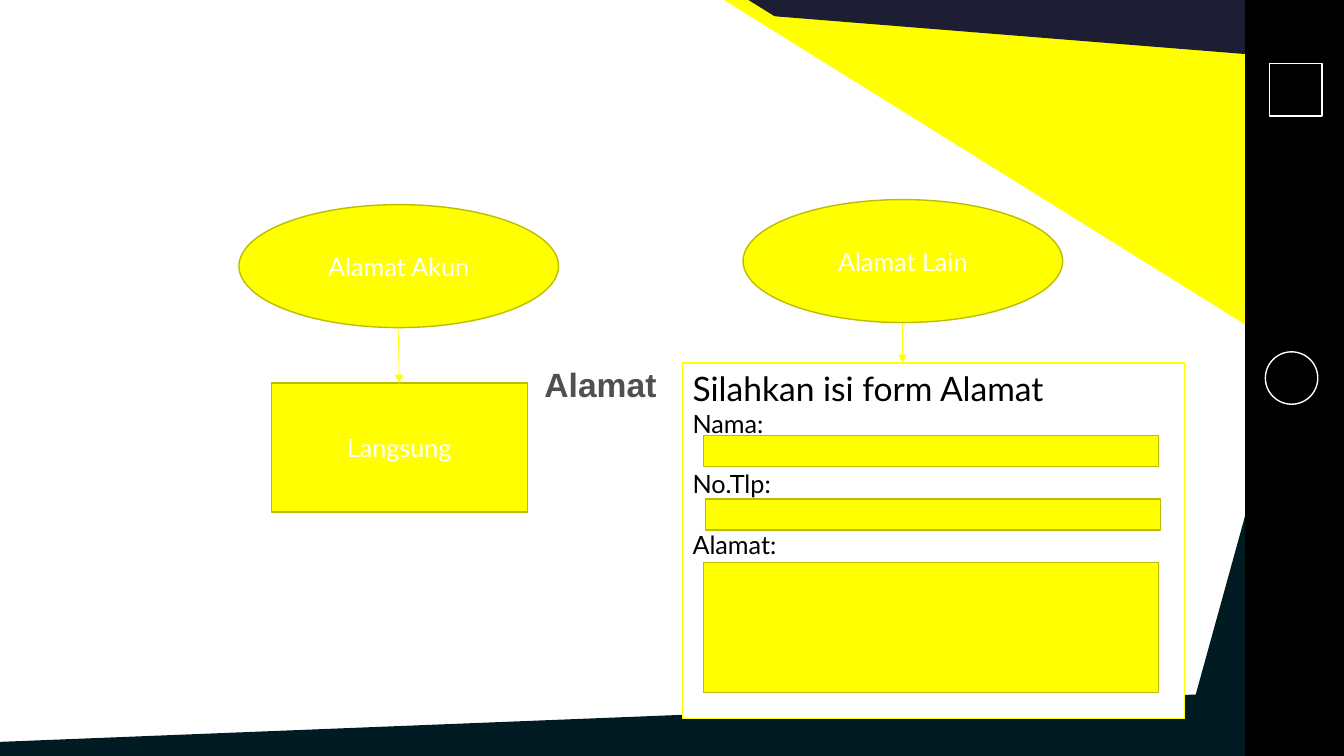
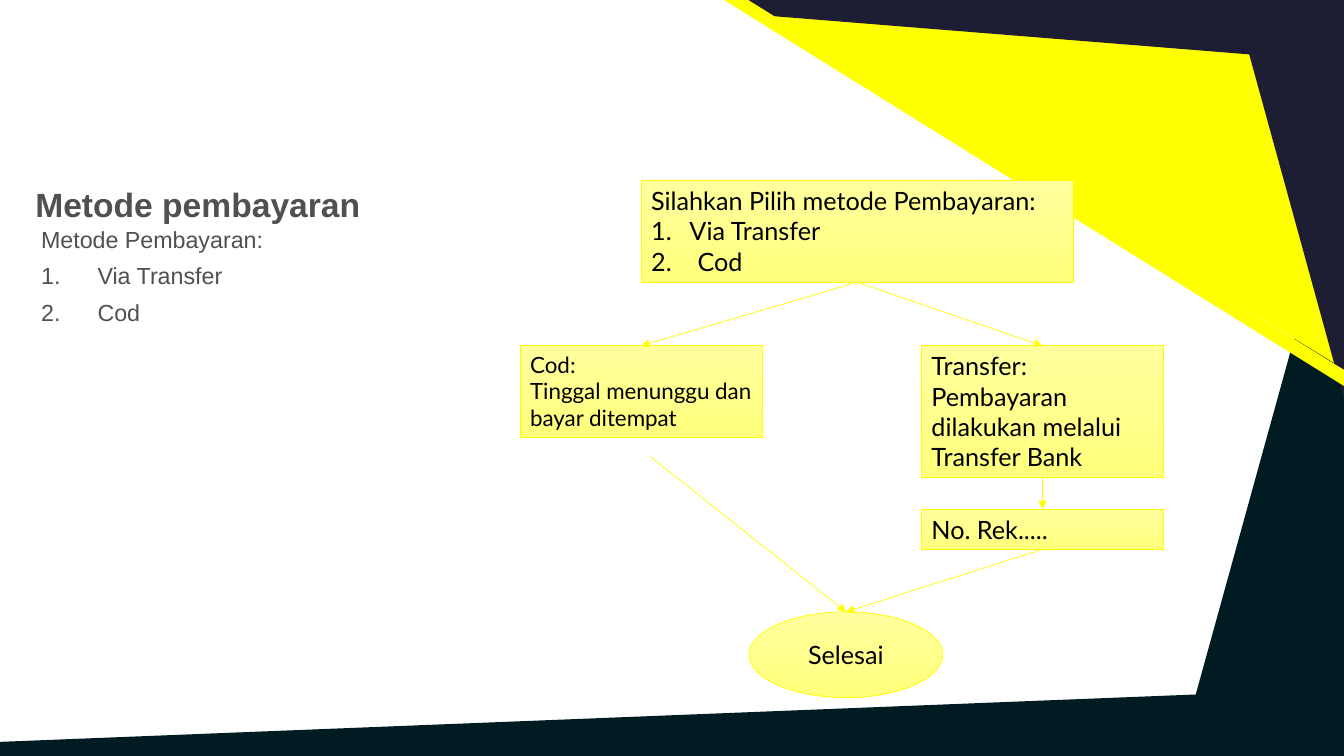
from dataclasses import dataclass

from lxml.etree import SubElement
from pptx import Presentation
from pptx.dml.color import RGBColor
from pptx.enum.shapes import MSO_CONNECTOR, MSO_SHAPE
from pptx.enum.text import MSO_ANCHOR, MSO_AUTO_SIZE, PP_ALIGN
from pptx.oxml.ns import qn
from pptx.presentation import Presentation as Deck
from pptx.shapes.autoshape import Shape
from pptx.slide import Slide
from pptx.text.text import TextFrame, _Paragraph as Paragraph
from pptx.util import Pt

PX = 9144
W, H = 1333, 750
COLORS = {
    "yellow": "FFFF00", "olive": "BDBD00", "light": "FFFF9E", "pale": "FFFF7C",
    "teal": "001B22", "navy": "1D1D33", "grey": "505050",
    "white": "FFFFFF", "black": "000000",
}
RECT, OVAL = MSO_SHAPE.RECTANGLE, MSO_SHAPE.OVAL
Point = tuple[int, int]


@dataclass(frozen=True)
class Look:
    """Fill, outline and text style shared by a family of shapes."""
    fill: tuple[str, ...] = ()
    line: str = ""
    weight: float = 1
    ink: str = "black"
    centred: bool = False


SOLID = Look(("yellow",), "olive", ink="white", centred=True)
FORM = Look(("white",), "yellow")
NOTE = Look(("light", "pale"), "yellow", 0.5)
END = Look(("light", "pale"), "yellow", 0.5, centred=True)
PANEL = Look(("black",))
OUTLINE = Look(line="white")


@dataclass(frozen=True)
class Box:
    """A preset shape with its place in px."""
    x: int
    y: int
    w: int
    h: int
    look: Look
    text: str = ""
    kind: MSO_SHAPE = RECT
    size: int = 18

    @property
    def top(self) -> Point:
        """Middle of the upper edge."""
        return self.x + self.w // 2, self.y

    @property
    def bottom(self) -> Point:
        """Middle of the lower edge."""
        return self.x + self.w // 2, self.y + self.h


@dataclass(frozen=True)
class Facet:
    """A filled polygon of the background."""
    color: str
    points: tuple[Point, ...]


FACETS = (
    Facet("teal", ((W, 298), (1294, 298), (1186, 689), (0, 736), (0, H), (W, H))),
    Facet("yellow", ((W, 366), (739, 0), (W, 0))),
    Facet("yellow", ((809, 16), (763, 16), (W, 366), (W, 331))),
    Facet("navy", ((766, 16), (1239, 54), (W, 396), (W, 0), (739, 0))),
    Facet("yellow", ((742, 0), (W, 367), (W, 383), (718, 0))),
)


def rgb(name: str) -> RGBColor:
    """Look up a palette colour."""
    return RGBColor.from_string(COLORS[name])


def paint(sp: Shape, look: Look) -> None:
    """Apply fill and outline without a shadow."""
    sp.shadow.inherit = False
    if len(look.fill) == 2:
        sp.fill.gradient()
        sp.fill.gradient_angle = 270
        for stop, name in zip(sp.fill.gradient_stops, look.fill):
            stop.color.rgb = rgb(name)
    elif look.fill:
        sp.fill.solid()
        sp.fill.fore_color.rgb = rgb(look.fill[0])
    else:
        sp.fill.background()
    if look.line:
        sp.line.color.rgb = rgb(look.line)
        sp.line.width = Pt(look.weight)
    else:
        sp.line.fill.background()


def style(tf: TextFrame, font: str, size: float, ink: str, bold: bool = False) -> None:
    """Format every run of a text frame."""
    for p in tf.paragraphs:
        for r in p.runs:
            r.font.name, r.font.size, r.font.bold = font, Pt(size), bold
            r.font.color.rgb = rgb(ink)


def number(p: Paragraph, indent: int) -> None:
    """Give a paragraph an automatic number and hanging indent."""
    pr = p._p.get_or_add_pPr()
    pr.set("marL", str(indent * PX))
    pr.set("indent", str(-indent * PX))
    SubElement(pr, qn("a:buFont"), typeface="+mj-lt")
    SubElement(pr, qn("a:buAutoNum"), type="arabicPeriod")


def add_box(s: Slide, box: Box) -> Shape:
    """Draw a preset shape with optional text."""
    sp = s.shapes.add_shape(box.kind, box.x * PX, box.y * PX, box.w * PX, box.h * PX)
    paint(sp, box.look)
    if box.text:
        tf = sp.text_frame
        tf.text = box.text
        tf.word_wrap = True
        tf.vertical_anchor = MSO_ANCHOR.MIDDLE if box.look.centred else MSO_ANCHOR.TOP
        for p in tf.paragraphs:
            p.alignment = PP_ALIGN.CENTER if box.look.centred else PP_ALIGN.LEFT
        style(tf, "Lato", box.size, box.look.ink)
    return sp


def add_arrow(s: Slide, start: Point, end: Point) -> None:
    """Draw a thin yellow arrow."""
    c = s.shapes.add_connector(MSO_CONNECTOR.STRAIGHT, *(v * PX for v in start + end))
    c.line.color.rgb = rgb("yellow")
    c.line.width = Pt(0.5)
    pr = c.element.spPr
    SubElement(pr.find(qn("a:ln")), qn("a:tailEnd"), type="triangle")
    SubElement(pr, qn("a:effectLst"))


def add_slide(prs: Deck, title: str, x: int, y: int) -> Slide:
    """Add a title-only slide and place its title."""
    s = prs.slides.add_slide(prs.slide_layouts.get_by_name("Title Only"))
    sp = s.shapes.title
    sp.left, sp.top, sp.width, sp.height = x * PX, y * PX, 486 * PX, 98 * PX
    tf = sp.text_frame
    tf.text = title
    tf.word_wrap = True
    tf.auto_size = MSO_AUTO_SIZE.NONE
    tf.vertical_anchor = MSO_ANCHOR.BOTTOM
    p = tf.paragraphs[0]
    p.alignment, p.line_spacing = PP_ALIGN.LEFT, 0.9
    style(tf, "Arial", 24, "grey", bold=True)
    return s


def move_facets_to_master(prs: Deck, s: Slide) -> None:
    """Build the background polygons and place them on the master."""
    tree = prs.slide_master.shapes.element
    for i, facet in enumerate(FACETS):
        first, *rest = facet.points
        builder = s.shapes.build_freeform(*first, scale=PX)
        builder.add_line_segments(rest, close=True)
        sp = builder.convert_to_shape()
        paint(sp, Look((facet.color,)))
        tree.insert(2 + i, sp.element)


def address_slide(prs: Deck) -> Slide:
    """Build the address choice with its form."""
    s = add_slide(prs, "Alamat", 530, 309)
    account = Box(237, 203, 317, 122, SOLID, "Alamat Akun", OVAL)
    other = Box(737, 198, 317, 122, SOLID, "Alamat Lain", OVAL)
    direct = Box(269, 380, 254, 128, SOLID, "Langsung")
    form = Box(677, 360, 498, 353, FORM, "Silahkan isi form Alamat\nNama:\nNo.Tlp:\nAlamat:")
    for box in (account, other, direct):
        add_box(s, box)
    heading, _, *labels = add_box(s, form).text_frame.paragraphs
    heading.runs[0].font.size = Pt(24)
    for p in labels:
        p.space_before = Pt(21.6)
    add_arrow(s, account.bottom, direct.top)
    add_arrow(s, other.bottom, (other.bottom[0], form.y))
    for x, y, h in ((698, 432, 31), (700, 495, 31), (698, 558, 129)):
        add_box(s, Box(x, y, 451, h, SOLID))
    add_box(s, Box(1235, 0, 98, H, PANEL))
    add_box(s, Box(1259, 63, 52, 52, OUTLINE))
    add_box(s, Box(1255, 349, 52, 52, OUTLINE, kind=OVAL))
    return s


def payment_slide(prs: Deck) -> None:
    """Build the payment methods and their flow."""
    s = add_slide(prs, "Metode pembayaran", 25, 130)
    tf = s.shapes.add_textbox(31 * PX, 224 * PX, 486 * PX, 111 * PX).text_frame
    tf.text = "Metode Pembayaran:\nVia Transfer\nCod"
    tf.word_wrap = True
    for i, p in enumerate(tf.paragraphs):
        p.line_spacing = 0.8
        if i:
            p.space_before = Pt(10)
            number(p, 56)
    style(tf, "Arial", 16.6, "grey")

    choice = Box(636, 179, 429, 101, NOTE, "Silahkan Pilih metode Pembayaran:\nVia Transfer\nCod")
    cod = Box(516, 343, 240, 91, NOTE, "Cod:\nTinggal menunggu dan bayar ditempat", size=16)
    transfer = Box(914, 343, 240, 131, NOTE,
                   "Transfer:\nPembayaran dilakukan melalui Transfer Bank")
    account = Box(914, 505, 240, 40, NOTE, "No. Rek.....")
    done = Box(743, 607, 192, 85, END, "Selesai", OVAL)
    options = add_box(s, choice).text_frame.paragraphs[1:]
    for p, indent in zip(options, (38, 46)):
        number(p, indent)
    for box in (cod, transfer, account, done):
        add_box(s, box)
    for start, end in (
        (choice.bottom, cod.top), (choice.bottom, transfer.top),
        (transfer.bottom, account.top), ((645, 453), done.top),
        (account.bottom, done.top),
    ):
        add_arrow(s, start, end)


def main() -> None:
    """Build and save the presentation."""
    prs = Presentation()
    prs.slide_width, prs.slide_height = W * PX, H * PX
    s = address_slide(prs)
    move_facets_to_master(prs, s)
    payment_slide(prs)
    prs.save("out.pptx")


if __name__ == "__main__":
    main()
